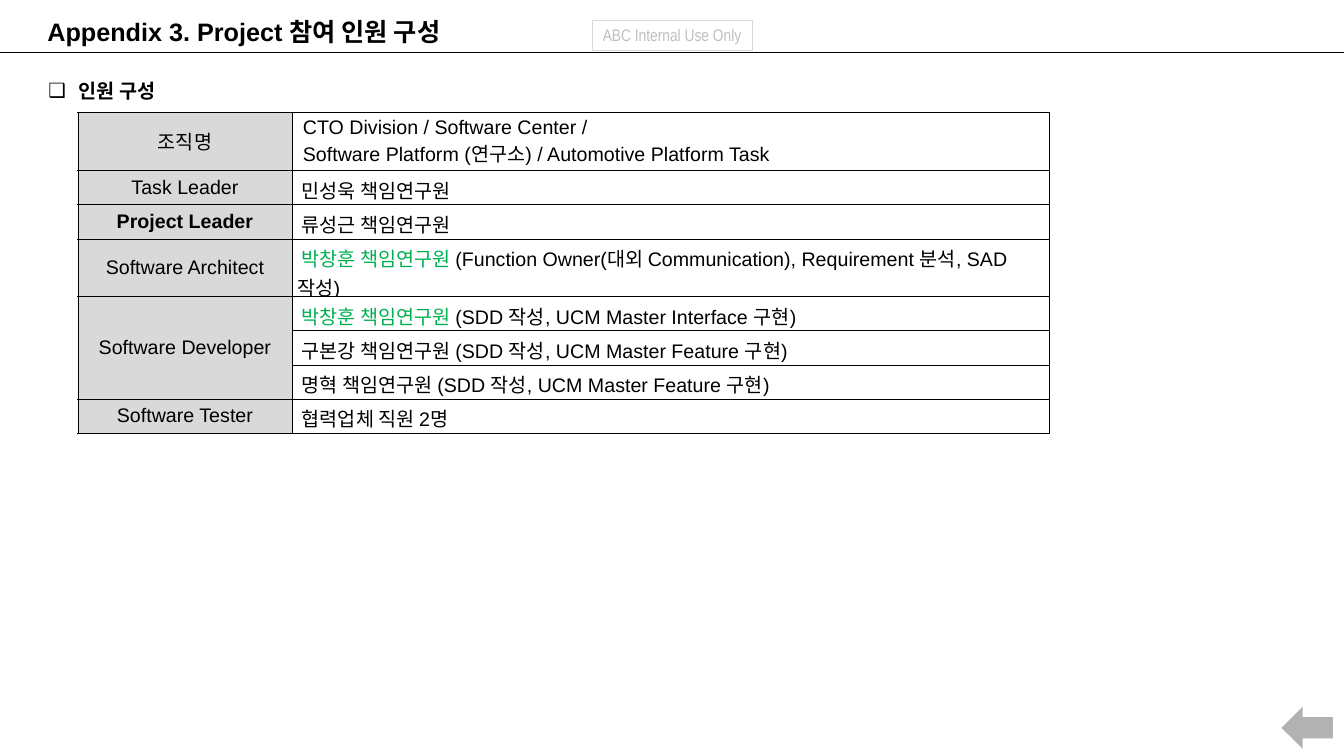
from lxml.etree import SubElement
from pptx import Presentation
from pptx.dml.color import RGBColor
from pptx.enum.shapes import MSO_CONNECTOR, MSO_SHAPE
from pptx.enum.text import MSO_ANCHOR, PP_ALIGN
from pptx.oxml import parse_xml
from pptx.oxml.ns import nsdecls, qn
from pptx.util import Inches, Pt

BLACK = RGBColor(0x00, 0x00, 0x00)
WHITE = RGBColor(0xFF, 0xFF, 0xFF)
LABEL_GRAY = RGBColor(0xD9, 0xD9, 0xD9)
NOTICE_GRAY = RGBColor(0xBF, 0xBF, 0xBF)
ARROW_GRAY = RGBColor(0xB2, 0xB2, 0xB2)
GREEN = RGBColor(0x00, 0xB0, 0x50)


def style_span(span, size, color=BLACK, bold=False, font="Arial"):
    span.font.name = font
    span.font.size = Pt(size)
    span.font.bold = bold
    span.font.color.rgb = color


def add_borders(cell):
    properties = cell._tc.get_or_add_tcPr()
    for index, side in enumerate(("lnL", "lnR", "lnT", "lnB")):
        properties.insert(index, parse_xml(
            f'<a:{side} {nsdecls("a")} w="3175"><a:solidFill>'
            f'<a:srgbClr val="{BLACK}"/></a:solidFill></a:{side}>'))


deck = Presentation()
deck.slide_width = Inches(13.33)
deck.slide_height = Inches(7.5)
page = deck.slides.add_slide(deck.slide_layouts[5])

rule = page.shapes.add_connector(
    MSO_CONNECTOR.STRAIGHT, Inches(0), Inches(0.52), Inches(13.33), Inches(0.52))
rule.line.color.rgb = BLACK
rule.line.width = Pt(0.75)
SubElement(rule._element.spPr, qn("a:effectLst"))

notice = page.shapes.add_shape(
    MSO_SHAPE.RECTANGLE, Inches(5.88), Inches(0.2), Inches(1.58), Inches(0.3))
notice.shadow.inherit = False
notice.fill.background()
notice.line.color.rgb = LABEL_GRAY
notice.line.width = Pt(0.75)
notice.text_frame.word_wrap = False
notice.text_frame.text = "ABC Internal Use Only"
style_span(notice.text_frame.paragraphs[0].runs[0], 12, NOTICE_GRAY, font="Arial Narrow")

title = page.shapes.title
title.left, title.top = Inches(0.37), Inches(0.11)
title.width, title.height = Inches(6.98), Inches(0.4)
title.text_frame.text = "Appendix 3. Project 참여 인원 구성"
title.text_frame.vertical_anchor = MSO_ANCHOR.TOP
title.text_frame.paragraphs[0].alignment = PP_ALIGN.LEFT
style_span(title.text_frame.paragraphs[0].runs[0], 18, bold=True)

heading = page.shapes.add_textbox(Inches(0.48), Inches(0.74), Inches(12.49), Inches(0.48))
frame = heading.text_frame
frame.word_wrap = True
frame.margin_left = frame.margin_right = frame.margin_top = frame.margin_bottom = 0
frame.text = "인원 구성"
para = frame.paragraphs[0]
para.line_spacing = 1.2
style_span(para.runs[0], 14, bold=True)
para_properties = para._p.get_or_add_pPr()
para_properties.set("marL", str(Inches(0.3)))
para_properties.set("indent", str(Inches(-0.3)))
SubElement(para_properties, qn("a:buFont")).set("typeface", "Arial")
SubElement(para_properties, qn("a:buChar")).set("char", "❑")

LEAD = "박창훈 책임연구원 "
MEMBERS = [
    ("조직명", " CTO Division / Software Center /\n"
               " Software Platform (연구소) / Automotive Platform Task", 0.58),
    ("Task Leader", " 민성욱 책임연구원", 0.34),
    ("Project Leader", " 류성근 책임연구원", 0.34),
    ("Software Architect",
     f" {LEAD}(Function Owner(대외 Communication), Requirement 분석, SAD 작성)", 0.57),
    ("Software Developer", f" {LEAD}(SDD 작성, UCM Master Interface 구현)", 0.34),
    ("", " 구본강 책임연구원 (SDD 작성, UCM Master Feature 구현)", 0.34),
    ("", " 명혁 책임연구원 (SDD 작성, UCM Master Feature 구현)", 0.34),
    ("Software Tester", " 협력업체 직원 2명", 0.34),
]
table = page.shapes.add_table(
    len(MEMBERS), 2, Inches(0.77), Inches(1.11), Inches(9.64), Inches(3.19)).table
table.first_row = False
table.horz_banding = False
table.columns[0].width = Inches(2.13)
table.columns[1].width = Inches(7.51)

for row, (role, member, height) in enumerate(MEMBERS):
    table.rows[row].height = Inches(height)
    for column, text in enumerate((role, member)):
        cell = table.cell(row, column)
        cell.fill.solid()
        cell.fill.fore_color.rgb = WHITE if column else LABEL_GRAY
        cell.vertical_anchor = MSO_ANCHOR.MIDDLE
        cell.margin_left = cell.margin_right = Inches(0.05)
        cell.margin_top = cell.margin_bottom = Inches(0.05)
        add_borders(cell)
        for index, line in enumerate(text.split("\n")):
            frame = cell.text_frame
            para = frame.add_paragraph() if index else frame.paragraphs[0]
            para.alignment = PP_ALIGN.LEFT if column else PP_ALIGN.CENTER
            para.font.size = Pt(14)
            before, lead, after = line.partition(LEAD)
            for part in filter(None, (before, lead, after)):
                span = para.add_run()
                span.text = part
                style_span(span, 14, GREEN if part == LEAD else BLACK,
                           part == "Project Leader")
table.cell(4, 0).merge(table.cell(6, 0))

arrow = page.shapes.add_shape(
    MSO_SHAPE.RIGHT_ARROW, Inches(12.71), Inches(7.01), Inches(0.51), Inches(0.42))
arrow.rotation = 180
arrow.shadow.inherit = False
arrow.fill.solid()
arrow.fill.fore_color.rgb = ARROW_GRAY
arrow.line.fill.background()

deck.save("out.pptx")
